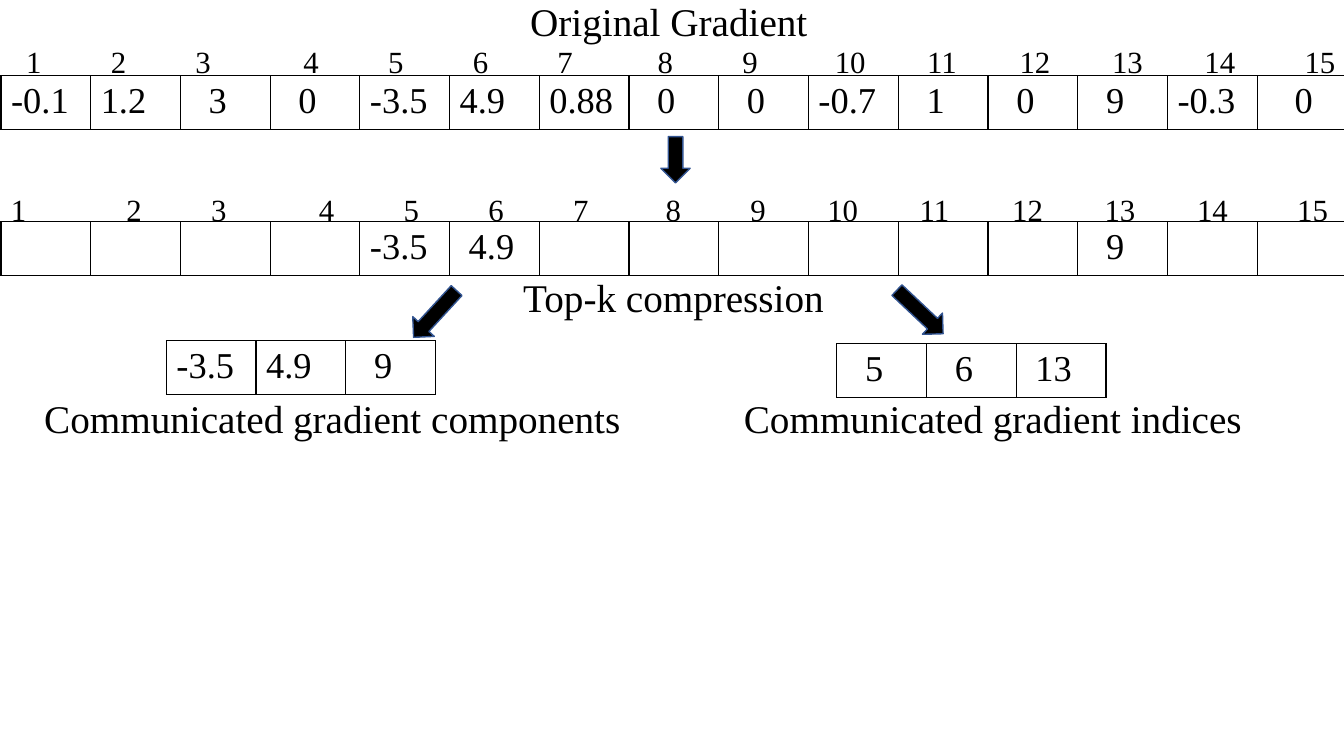
from itertools import accumulate

from lxml import etree
from pptx import Presentation
from pptx import util as u
from pptx.dml.color import RGBColor
from pptx.enum import shapes, text
from pptx.oxml import ns

BLACK = RGBColor(0x00, 0x00, 0x00)
ARROW_EDGE = RGBColor(0x32, 0x54, 0x91)
FONT = "Times New Roman"
CAPTION_SIZE, VALUE_SIZE, INDEX_SIZE = 28, 26, 22
CELL_W, CELL_H, LAST_W = 0.89, 0.53, 0.92
INSET = 0.1
SPACE_EM = 0.25  # a space is a quarter em wide, a digit half an em
TABLE_OFF = {"first_row": False, "horz_banding": False}
FRAME_FORMAT = {"word_wrap": True, "auto_size": text.MSO_AUTO_SIZE.SHAPE_TO_FIT_TEXT}


def apply_format(target, values):
    for name, value in values.items():
        setattr(target, name, value)


def write(paragraph, words, size):
    run = paragraph.add_run()
    run.text = words
    apply_format(run.font, {"name": FONT, "size": u.Pt(size)})
    run.font.color.rgb = BLACK


def add_label(slide, box, words, size=CAPTION_SIZE):
    frame = slide.shapes.add_textbox(*map(u.Inches, box)).text_frame
    apply_format(frame, FRAME_FORMAT)
    write(frame.paragraphs[0], words, size)
    return frame.paragraphs[0]


def add_indices(slide, box, gaps):
    """Write 1, 2, 3 ... on one line, gaps given in space widths."""
    numbers = [str(n + 1) for n in range(len(gaps) + 1)]
    line = add_label(slide, box, "\t".join(numbers), INDEX_SIZE)
    space = SPACE_EM * INDEX_SIZE / 72
    steps = [(2 * len(n) + gap) * space for n, gap in zip(numbers, gaps)]
    stops = etree.SubElement(line._p.get_or_add_pPr(), ns.qn("a:tabLst"))
    for stop in accumulate(steps):
        etree.SubElement(stops, ns.qn("a:tab"), pos=str(u.Inches(stop)), algn="l")


def add_borders(cell):
    properties = cell._tc.get_or_add_tcPr()
    for place, side in enumerate(("lnL", "lnR", "lnT", "lnB")):
        edge = etree.Element(ns.qn("a:" + side), w=str(u.Pt(1)))
        fill = etree.SubElement(edge, ns.qn("a:solidFill"))
        etree.SubElement(fill, ns.qn("a:srgbClr"), val=str(BLACK))
        properties.insert(place, edge)


def add_cells(slide, left, top, values, width=CELL_W):
    """One row of cells; a value is (text, indent in space widths) or None."""
    size = (left, top, width * len(values), CELL_H)
    table = slide.shapes.add_table(1, len(values), *map(u.Inches, size)).table
    apply_format(table, TABLE_OFF)
    for column, value in enumerate(values):
        table.columns[column].width = u.Inches(width)
        cell = table.cell(0, column)
        cell.fill.background()
        add_borders(cell)
        if value:
            words, indent = value
            offset = INSET + indent * SPACE_EM * VALUE_SIZE / 72
            cell.margin_left = u.Inches(offset)
            write(cell.text_frame.paragraphs[0], words, VALUE_SIZE)


def add_gradient(slide, left, top, values):
    """Fifteen components, in joined tables of ten, four and one cells."""
    for start, end, width in ((0, 10, CELL_W), (10, 14, CELL_W), (14, 15, LAST_W)):
        add_cells(slide, left + start * CELL_W, top, values[start:end], width)


def add_arrow(slide, box, angle):
    arrow = slide.shapes.add_shape(shapes.MSO_SHAPE.RIGHT_ARROW, *map(u.Inches, box))
    arrow.rotation = angle
    arrow.shadow.inherit = False
    arrow.fill.solid()
    arrow.fill.fore_color.rgb = BLACK
    arrow.line.color.rgb = ARROW_EDGE
    arrow.line.width = u.Pt(1)


def add_result(slide, left, top, values, caption, caption_box):
    add_cells(slide, left, top, values)
    add_label(slide, caption_box, caption)


deck = Presentation()
apply_format(deck, {"slide_width": u.Inches(13.33), "slide_height": u.Inches(7.5)})
slide = deck.slides.add_slide(deck.slide_layouts[6])

# Captions and arrows between the stages
add_label(slide, (5.16, -0.08, 3.01, 0.57), "Original Gradient")
add_label(slide, (5.09, 2.66, 3.22, 0.57), "Top-k compression")
for arrow_box, angle in (
    ((4, 2.97, 0.63, 0.29), 132.6),
    ((6.47, 1.44, 0.46, 0.29), 90),
    ((8.81, 2.95, 0.63, 0.29), 43.4),
):
    add_arrow(slide, arrow_box, angle)

# Full gradient
zero = ("0", 2)
gradient = [
    ("-0.1", 0), ("1.2", 0), ("3", 2), zero, ("-3.5", 0),
    ("4.9", 0), ("0.88", 0), zero, zero, ("-0.7", 0),
    ("1", 2), zero, ("9", 2), ("-0.3", 0), ("0", 3),
]
add_gradient(slide, 0.01, 0.75, gradient)

# Gradient with only the largest components kept
kept = {5: ("-3.5", 0), 6: ("4.9", 1), 13: ("9", 2)}
add_gradient(slide, 0.01, 2.2, [kept.get(n + 1) for n in range(len(gradient))])

# Communicated values and their indices
add_result(slide, 1.65, 3.38, [("-3.5", 0), ("4.9", 0), ("9", 2)],
           "Communicated gradient components", (0.34, 3.86, 7.08, 0.57))
add_result(slide, 8.3, 3.41, [("5", 2), ("6", 2), ("13", 1)],
           "Communicated gradient indices", (7.28, 3.86, 6.06, 0.57))

# Index numbers above both gradients
add_indices(slide, (0.01, 1.84, 13.89, 0.47),
            [13, 9, 12, 9, 9, 9, 10, 9, 8, 8, 8, 8, 8, 9])
add_indices(slide, (0.16, 0.37, 13.89, 0.47),
            [9, 9, 12, 9, 9, 9, 11, 9, 10, 8, 8, 8, 8, 9])

deck.save("out.pptx")
